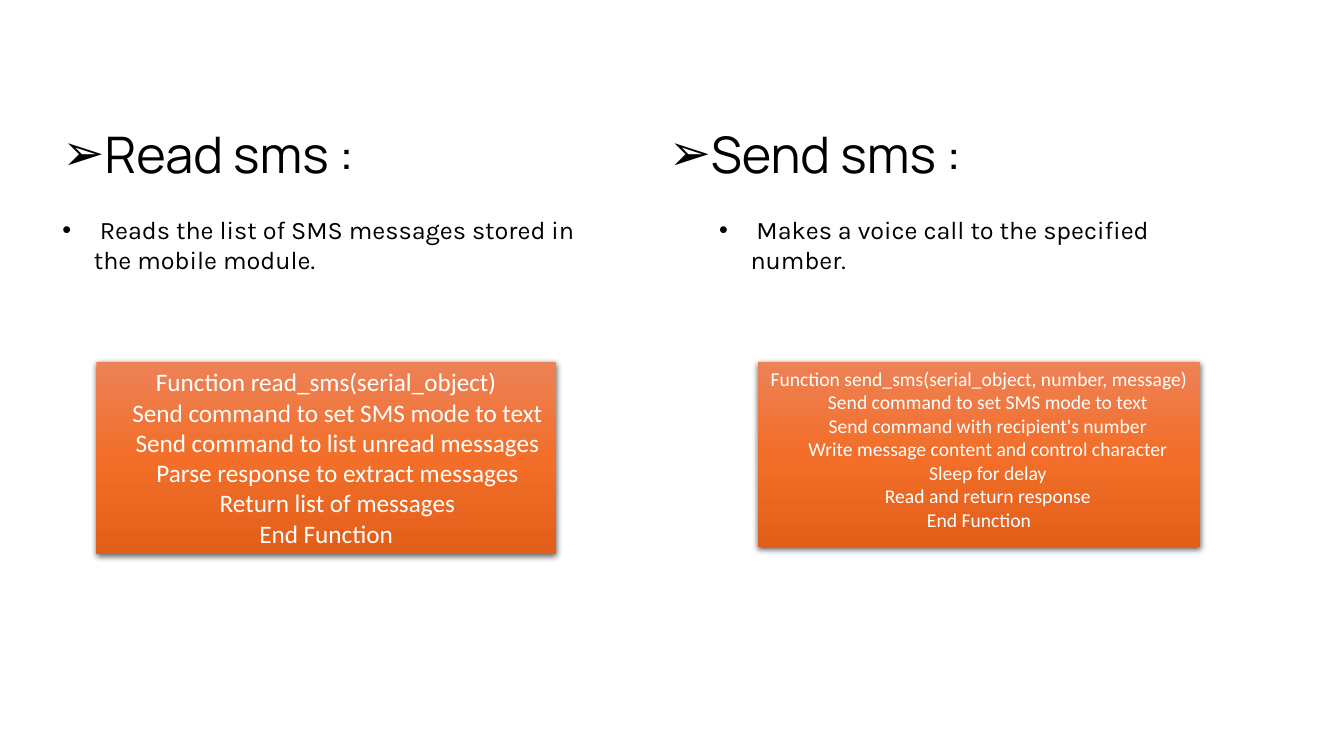
from lxml.etree import SubElement
from pptx import Presentation
from pptx.dml.color import RGBColor
from pptx.enum.shapes import MSO_SHAPE as Shape
from pptx.enum.text import MSO_ANCHOR as Anchor, MSO_AUTO_SIZE as AutoSize, PP_ALIGN as Align
from pptx.oxml.ns import qn
from pptx.util import Cm, Pt

COLUMNS = [
    dict(left=1.32, heading="Read sms :", level=0, indent=0.79,
         note=" Reads the list of SMS messages stored in the mobile module.",
         panel=(2.43, 9.12, 11.58, 4.85), code_size=18,
         code=["Function read_sms(serial_object)",
               "    Send command to set SMS mode to text",
               "    Send command to list unread messages",
               "    Parse response to extract messages",
               "    Return list of messages",
               "End Function"]),
    dict(left=16.6, heading="Send sms :", level=1, indent=2.06,
         note=" Makes a voice call to the specified number.",
         panel=(19.1, 9.12, 11.15, 4.67), code_size=14,
         code=["Function send_sms(serial_object, number, message)",
               "    Send command to set SMS mode to text",
               "    Send command with recipient's number",
               "    Write message content and control character",
               "    Sleep for delay",
               "    Read and return response",
               "End Function"]),
]
HEADING_SLOTS = [0, 1]
LIST_SLOTS = [2, 4]
UNUSED_SLOT = 3


def color(hex_string):
    return RGBColor.from_string(hex_string)


def add_element(parent, tag, **attributes):
    return SubElement(parent, qn(tag), {name: str(value) for name, value in attributes.items()})


def write(shape, lines, font, size, ink, align=Align.LEFT, bullet=None, indent=0, level=0, top=0.12):
    frame = shape.text_frame
    frame.word_wrap = True
    frame.auto_size = AutoSize.NONE
    frame.vertical_anchor = Anchor.TOP
    frame.margin_top = Cm(top)
    for number, line in enumerate(lines):
        paragraph = frame.add_paragraph() if number else frame.paragraphs[0]
        paragraph.alignment = align
        paragraph.level = level
        paragraph.space_before = Pt(0)
        if bullet:
            properties = paragraph._p.get_or_add_pPr()
            properties.set("marL", str(Cm(indent)))
            properties.set("indent", str(-Cm(0.79)))
            add_element(properties, "a:buFont", typeface="Arial")
            add_element(properties, "a:buChar", char=bullet)
        run = paragraph.add_run()
        run.text = line
        run.font.name = font
        run.font.size = Pt(size)
        run.font.bold = False
        run.font.color.rgb = color(ink)


class SmsSlide:
    ink = "000000"
    panel_ink = "FFFFFF"
    panel_stops = [(0, "ED8257"), (50, "F26E29"), (100, "E25F1A")]
    text_width = 13.82

    def __init__(self, presentation):
        self.slide = presentation.slides.add_slide(presentation.slide_layouts[4])
        self.slots = {slot.placeholder_format.idx: slot for slot in self.slide.placeholders}

    def place(self, slot, left, top, height):
        shape = self.slots[slot]
        shape.left, shape.top = Cm(left), Cm(top)
        shape.width, shape.height = Cm(self.text_width), Cm(height)
        return shape

    def heading(self, slot, text, left):
        write(self.place(slot, left, 3.1, 1.73), [text], "Manrope", 36, self.ink,
              bullet="➢", indent=0.79, top=0)

    def note(self, slot, text, left, indent, level):
        write(self.place(slot, left, 5.4, 2.4), [text], "Karla", 18, self.ink,
              bullet="•", indent=indent, level=level, top=0)

    def code_panel(self, box, lines, size):
        panel = self.slide.shapes.add_shape(Shape.RECTANGLE, *map(Cm, box))
        panel.line.fill.background()
        panel.fill.gradient()
        panel.fill.gradient_angle = 270
        properties = panel._element.spPr
        stops = properties.find(qn("a:gradFill")).find(qn("a:gsLst"))
        stops.clear()
        for position, shade in self.panel_stops:
            stop = add_element(stops, "a:gs", pos=position * 1000)
            add_element(stop, "a:srgbClr", val=shade)
        panel.shadow.inherit = False
        shadow = add_element(properties.find(qn("a:effectLst")), "a:outerShdw", blurRad=Pt(4.5),
                             dist=Pt(1.5), dir=5400000, algn="ctr", rotWithShape=0)
        shade = add_element(shadow, "a:srgbClr", val="000000")
        add_element(shade, "a:alpha", val=63000)
        write(panel, lines, "Calibri", size, self.panel_ink, align=Align.CENTER)

    def remove_slot(self, slot):
        element = self.slots[slot]._element
        element.getparent().remove(element)


def main():
    presentation = Presentation()
    presentation.slide_width, presentation.slide_height = Cm(33.87), Cm(19.05)
    sms = SmsSlide(presentation)
    for column, heading_slot, list_slot in zip(COLUMNS, HEADING_SLOTS, LIST_SLOTS):
        sms.heading(heading_slot, column["heading"], column["left"])
        sms.note(list_slot, column["note"], column["left"], column["indent"], column["level"])
        sms.code_panel(column["panel"], column["code"], column["code_size"])
    sms.remove_slot(UNUSED_SLOT)
    presentation.save("out.pptx")


if __name__ == "__main__":
    main()
